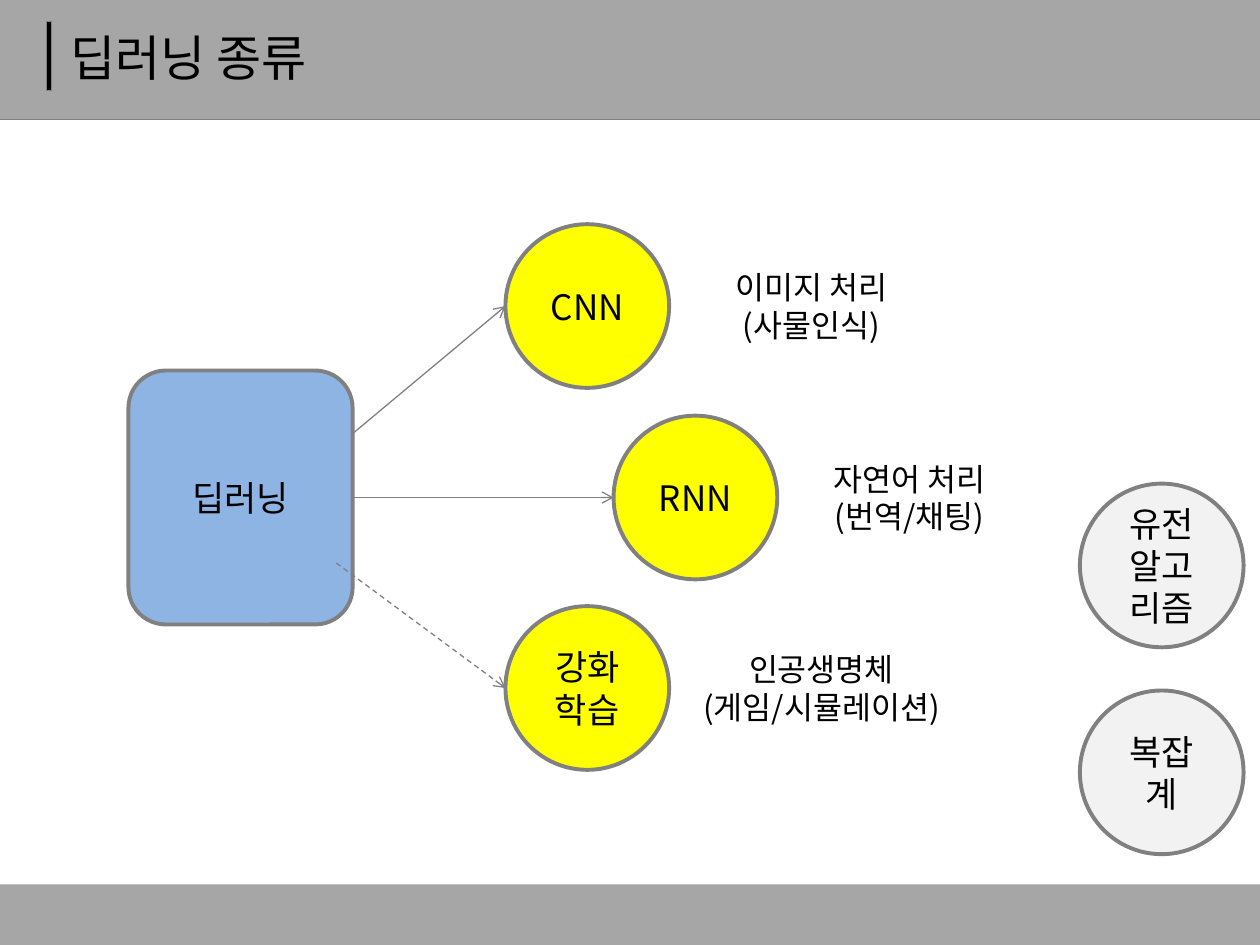
from lxml.etree import SubElement
from pptx import Presentation
from pptx.dml.color import RGBColor
from pptx.enum.dml import MSO_LINE
from pptx.enum.shapes import MSO_CONNECTOR, MSO_SHAPE as SHAPE
from pptx.enum.text import MSO_ANCHOR as ANCHOR, PP_ALIGN as ALIGN
from pptx.oxml.ns import qn
from pptx.util import Cm, Pt

FONT = "Noto Sans CJK KR"
COLORS = {
    "bar": "A6A6A6",
    "outline": "808080",
    "text": "000000",
    "root": "8EB4E3",
    "method": "FFFF00",
    "related": "F2F2F2",
}
WIDTH, HEIGHT = 25.4, 19.05
DIAMETER = 3.3
LABEL_DROP = 0.76


def color(name):
    return RGBColor.from_string(COLORS[name])


def write(shape, text, size, align=ALIGN.CENTER, anchor=ANCHOR.MIDDLE):
    frame = shape.text_frame
    frame.text = text
    frame.word_wrap = True
    frame.vertical_anchor = anchor
    for para in frame.paragraphs:
        para.alignment = align
        for span in para.runs:
            span.font.name = FONT
            span.font.size = Pt(size)
            span.font.color.rgb = color("text")
            SubElement(span.font._element, qn("a:ea"), typeface=FONT)


def add_box(page, kind, left, top, width, height, fill, line_width=0):
    box = page.shapes.add_shape(kind, Cm(left), Cm(top), Cm(width), Cm(height))
    box.shadow.inherit = False
    box.fill.solid()
    box.fill.fore_color.rgb = color(fill)
    if line_width:
        box.line.color.rgb = color("outline")
        box.line.width = Pt(line_width)
    else:
        box.line.fill.background()
    return box


def add_circle(page, left, top, fill, text):
    circle = add_box(page, SHAPE.OVAL, left, top, DIAMETER, DIAMETER, fill, 2.25)
    write(circle, text, 20)


def add_label(page, left, top, width, height, text, size, align, anchor):
    label = page.shapes.add_textbox(Cm(left), Cm(top), Cm(width), Cm(height))
    write(label, text, size, align, anchor)


def add_line(page, start, end, arrow=True, dashed=False):
    line = page.shapes.add_connector(
        MSO_CONNECTOR.STRAIGHT, *(Cm(value) for value in (*start, *end))
    )
    line.line.color.rgb = color("outline")
    line.line.width = Pt(0.75)
    if dashed:
        line.line.dash_style = MSO_LINE.DASH
    if arrow:
        SubElement(line.line._get_or_add_ln(), qn("a:tailEnd"), type="arrow")
    SubElement(line._element.spPr, qn("a:effectLst"))
    return line


def add_frame(page):
    add_box(page, SHAPE.RECTANGLE, 0, 0, WIDTH, 2.4, "bar")
    add_line(page, (0, 2.41), (WIDTH, 2.41), arrow=False)
    add_box(page, SHAPE.RECTANGLE, 0.94, 0.43, 0.1, 1.4, "text", 0.75)
    add_box(page, SHAPE.RECTANGLE, 0, 17.83, WIDTH, HEIGHT - 17.83, "bar")
    add_label(page, 1.17, 0.36, 21.9, 1.57, "딥러닝 종류", 28, ALIGN.LEFT, ANCHOR.MIDDLE)


def main():
    deck = Presentation()
    deck.slide_width, deck.slide_height = Cm(WIDTH), Cm(HEIGHT)
    page = deck.slides.add_slide(deck.slide_layouts[6])
    add_frame(page)

    root = add_box(page, SHAPE.ROUNDED_RECTANGLE, 2.59, 7.47, 4.52, 5.12, "root", 2.25)
    write(root, "딥러닝", 20)

    methods = [
        (10.19, 4.52, "CNN", (7.11, 8.74), 14.38, 3.94, "이미지 처리\n(사물인식)"),
        (12.37, 8.38, "RNN", (7.11, 10.03), 16.36, 3.94, "자연어 처리\n(번역/채팅)"),
        (10.19, 12.22, "강화학습", (6.78, 11.35), 13.74, 5.64, "인공생명체\n(게임/시뮬레이션)"),
    ]
    for left, top, name, start, label_left, label_width, use in methods:
        add_circle(page, left, top, "method", name)
        arrow = add_line(page, start, (left, top + DIAMETER / 2), dashed=name == "강화학습")
        if name == "RNN":
            arrow.begin_connect(root, 3)
        add_label(page, label_left, top + LABEL_DROP, label_width, 1.8, use, 18,
                  ALIGN.CENTER, ANCHOR.TOP)

    for top, name in [(9.75, "유전\n알고리즘"), (13.92, "복잡계")]:
        add_circle(page, 21.77, top, "related", name)

    deck.save("out.pptx")


if __name__ == "__main__":
    main()
